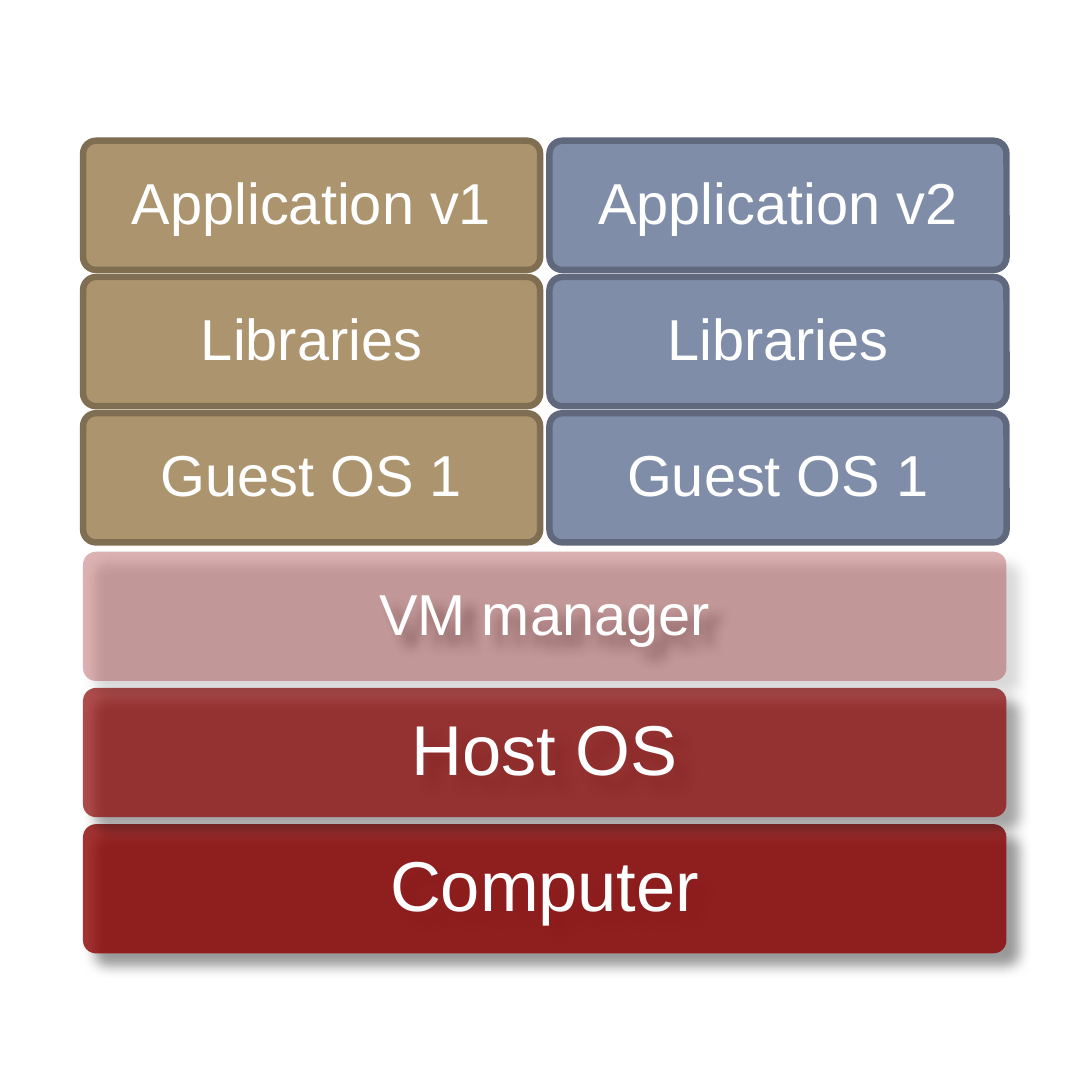
from lxml import etree
from pptx import Presentation
from pptx.dml.color import RGBColor
from pptx.enum import shapes, text
from pptx.oxml import parse_xml
from pptx.oxml.ns import qn
from pptx.util import Inches, Pt

NS = 'xmlns:a="http://schemas.openxmlformats.org/drawingml/2006/main"'
SHADOW = (f'<a:effectLst {NS}><a:outerShdw blurRad="{Pt(4)}" dist="{Pt(5)}" '
          'dir="2700000" algn="tl" rotWithShape="0"><a:srgbClr val="000000">'
          '<a:alpha val="50000"/></a:srgbClr></a:outerShdw></a:effectLst>')


def color(code):
    return RGBColor.from_string(code)


def block(label, left, top, width, size, fill):
    box = slide.shapes.add_shape(
        shapes.MSO_SHAPE.ROUNDED_RECTANGLE,
        Inches(left), Inches(top), Inches(width), Inches(0.56))
    box.adjustments[0] = 0.1
    box.shadow.inherit = False
    box.fill.solid()
    box.fill.fore_color.rgb = color(fill)
    frame = box.text_frame
    frame.word_wrap = True
    frame.vertical_anchor = text.MSO_ANCHOR.MIDDLE
    inset = Inches(size / 200)
    frame.margin_left = frame.margin_right = inset
    frame.margin_top = frame.margin_bottom = inset
    line = frame.paragraphs[0]
    line.text = label
    line.alignment = text.PP_ALIGN.CENTER
    line.line_spacing = 0.9
    line.font.name = "Arial"
    line.font.size = Pt(size)
    line.font.color.rgb = color("FFFFFF")
    return box


deck = Presentation()
deck.slide_width = deck.slide_height = Inches(4.73)
slide = deck.slides.add_slide(deck.slide_layouts[6])

LEFT, STEP = 0.36, 0.59

# Shared layers, from the machine up: translucent red with a shadow
layers = [("Computer", 22, 80), ("Host OS", 22, 70), ("VM manager", 18, 30)]
for row, (label, size, alpha) in enumerate(layers):
    box = block(label, LEFT, 3.57 - row * STEP, 4, size, "8D0101")
    box.line.fill.background()
    props = box._element.spPr
    tint = props.find(qn("a:solidFill"))[0]
    etree.SubElement(tint, qn("a:alpha"), val=str(alpha * 1000))
    props.replace(props.find(qn("a:effectLst")), parse_xml(SHADOW))

# Two virtual machines side by side, each built from the guest up
guests = [("Application v1", "AC956E", "7F6E51"),
          ("Application v2", "808DA9", "5F687D")]
for col, (app, fill, edge) in enumerate(guests):
    for row, label in enumerate(["Guest OS 1", "Libraries", app]):
        box = block(label, LEFT + col * 2.02, 1.79 - row * STEP, 1.98, 18, fill)
        box.line.color.rgb = color(edge)
        box.line.width = Pt(2)

deck.save("out.pptx")
